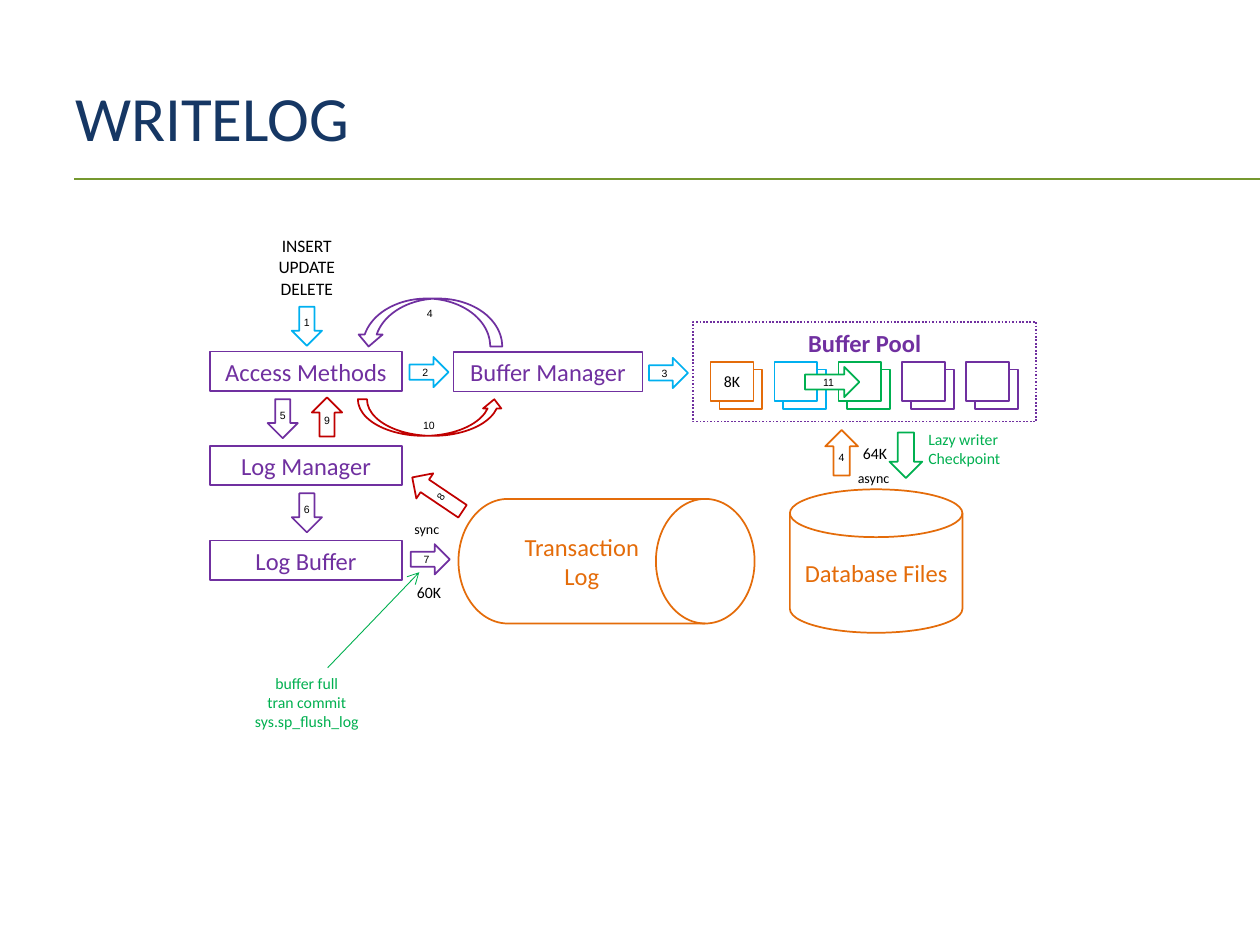
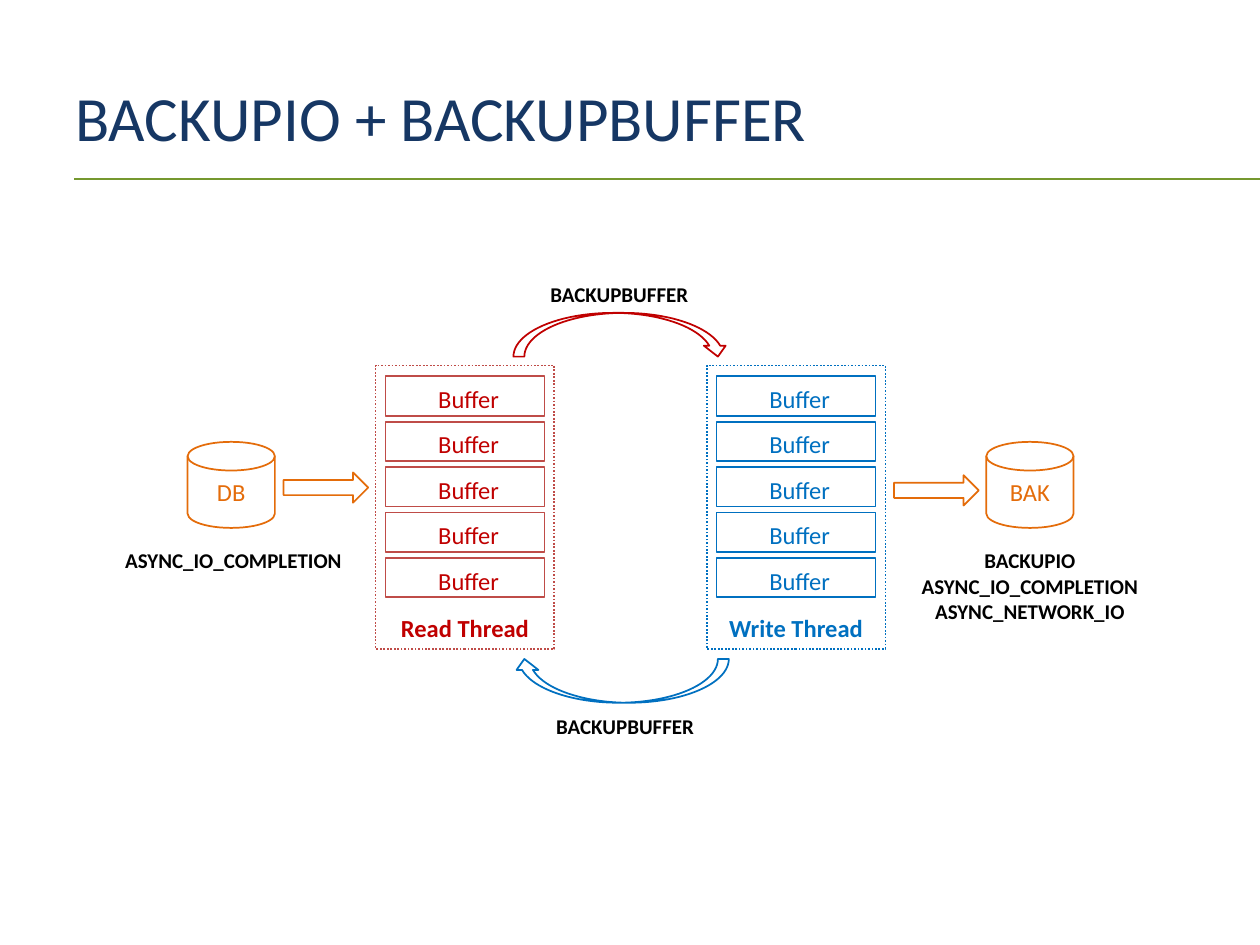
from pptx import Presentation
from pptx import util as u
from pptx.dml.color import RGBColor
from pptx.enum import dml, shapes, text
from pptx.oxml.ns import qn
from lxml import etree

Pt = u.Pt
S = shapes.MSO_SHAPE
NAVY, OLIVE, BLACK, WHITE = "163764", "75982F", "000000", "FFFFFF"
PURPLE, ORANGE, CYAN, GREEN = "7030A0", "E46C0A", "00B0F0", "00B050"
RED, BRICK, BLUE = "C00000", "BF4C48", "0070C0"
LEFT, CENTER = text.PP_ALIGN.LEFT, text.PP_ALIGN.CENTER
TOP, MIDDLE, BOTTOM = text.MSO_ANCHOR.TOP, text.MSO_ANCHOR.MIDDLE, text.MSO_ANCHOR.BOTTOM

# ---- Content: WRITELOG (lengths in points: left, top, width, height) ----
COMPONENTS = [
    ("Access Methods", (120.2, 200.9, 109.4, 22.5)),
    ("Buffer Manager", (259.2, 201.2, 108, 22.5)),
    ("Log Manager", (120.2, 254.9, 109.4, 22.5)),
    ("Log Buffer", (120.2, 308.9, 109.4, 22.5)),
]
STORES = [
    ("Database Files", S.FLOWCHART_MAGNETIC_DISK, (451.4, 279.6, 98.6, 82)),
    ("Transaction Log", S.FLOWCHART_DIRECT_ACCESS_STORAGE, (262, 285.1, 169.2, 71.2)),
]
POOL = ("Buffer Pool", (396, 184, 196.2, 56.9))
PAGES = [(ORANGE, "8K"), (CYAN, ""), (GREEN, ""), (PURPLE, ""), (PURPLE, "")]
PAGE_AT, PAGE_STEP, PAGE_BACK = (406.1, 206.8, 24.5, 22.5), 36.5, (5, 4.3)
# number, shape, box, colour, rotation, flip
STEPS = [
    ("1", S.RIGHT_ARROW, (164.2, 177.8, 22.3, 17.3), CYAN, 90, ""),
    ("2", S.RIGHT_ARROW, (234, 204, 22.3, 17.3), CYAN, 0, ""),
    ("3", S.RIGHT_ARROW, (370.8, 204.5, 22.3, 17.3), CYAN, 0, ""),
    ("4", S.UP_ARROW, (471.6, 245.7, 18.7, 26), ORANGE, 0, ""),
    ("5", S.RIGHT_ARROW, (150.4, 230.6, 22.3, 17.3), PURPLE, 90, ""),
    ("6", S.RIGHT_ARROW, (164.2, 284.4, 22.3, 17.3), PURPLE, 90, ""),
    ("7", S.RIGHT_ARROW, (234.7, 311, 22.3, 17.3), PURPLE, 0, ""),
    ("8", S.RIGHT_ARROW, (232.6, 273.9, 34.6, 17.3), RED, 214, "V"),
    ("9", S.RIGHT_ARROW, (175.7, 229.6, 22.3, 17.3), RED, 270, "V"),
    ("", S.UP_ARROW, (508.3, 247.2, 18.7, 26), GREEN, 0, "V"),
    ("", S.CURVED_DOWN_ARROW, (203.8, 170.6, 83.2, 27.4), PURPLE, 0, "H"),
    ("", S.CURVED_DOWN_ARROW, (204.5, 228.2, 83.2, 20.9), RED, 0, "V"),
    ("11", S.RIGHT_ARROW, (460.1, 209.7, 31, 17.3), GREEN, 0, ""),
]
# lines, box, size, colour, alignment, font, wrap
NOTES = [
    (["INSERT UPDATE", "DELETE"], (136.8, 131, 77, 43.9), 10, BLACK, CENTER, "Calibri", True),
    (["Lazy writer", "Checkpoint"], (523.4, 241.9, 77, 28.8), 9, GREEN, LEFT, "Calibri", True),
    (["64K"], (486, 249.8, 30.2, 18), 9, BLACK, LEFT, "Calibri", True),
    (["60K"], (231.1, 329.7, 30.2, 18), 9, BLACK, LEFT, "Calibri", True),
    (["async"], (483.1, 265, 33.1, 17.3), 8, BLACK, LEFT, "Calibri", False),
    (["sync"], (229.7, 293.8, 28.8, 17.3), 8, BLACK, LEFT, "Calibri", False),
    (["buffer full", "tran commit", "sys.sp_flush_log"], (136.8, 381.6, 77, 40.3),
     9, GREEN, CENTER, "Calibri", True),
    (["4"], (236.9, 172.1, 30.2, 14.4), 6, BLACK, LEFT, "Arial", True),
    (["10"], (234.7, 235.9, 30.2, 14.4), 6, BLACK, LEFT, "Arial", True),
]
FLUSH_LINE = (187.2, 381.6, 239.6, 327)

# ---- Content: BACKUPIO + BACKUPBUFFER ----
# name, left, outline colour, text colour
THREADS = [("Read Thread", 214.6, BRICK, RED), ("Write Thread", 403.8, BLUE, BLUE)]
THREAD_TOP, THREAD_W, THREAD_H = 208.8, 102.2, 162
BUFFERS, BUFFER_STEP, BUFFER_W, BUFFER_H = 5, 25.95, 90.8, 22.5
DISKS = [("DB", 107.2), ("BAK", 563.6)]
FLOWS = [
    (S.RIGHT_ARROW, (162, 270, 48.4, 17.3), ORANGE, ""),
    (S.RIGHT_ARROW, (510.9, 271.6, 48.4, 17.3), ORANGE, ""),
    (S.CURVED_DOWN_ARROW, (293.4, 178.8, 123.1, 25), RED, ""),
    (S.CURVED_DOWN_ARROW, (293.4, 376.6, 123.1, 25), BLUE, "HV"),
]
WAITS = [
    (["BACKUPBUFFER"], (307.4, 157.3, 94.3, 21.6), LEFT),
    (["BACKUPBUFFER"], (310.7, 404.3, 94.3, 21.6), LEFT),
    (["ASYNC_IO_COMPLETION"], (63.6, 309.6, 139.7, 21.6), CENTER),
    (["BACKUPIO", "ASYNC_IO_COMPLETION", "ASYNC_NETWORK_IO"],
     (518.7, 309.6, 139.7, 51.1), CENTER),
]


# ---- Helpers ----
def rgb(value):
    return RGBColor.from_string(value)


def write(sp, lines, size, color, font="Calibri", bold=False, align=CENTER,
          anchor=MIDDLE, wrap=True, inset=(7.2, 3.6, 7.2, 3.6)):
    tf = sp.text_frame
    tf.text = "\n".join(lines)
    tf.word_wrap, tf.vertical_anchor = wrap, anchor
    tf.margin_left, tf.margin_top, tf.margin_right, tf.margin_bottom = map(Pt, inset)
    for p in tf.paragraphs:
        p.alignment = align
        for r in p.runs:
            r.font.name, r.font.size, r.font.bold = font, Pt(size), bold
            r.font.color.rgb = rgb(color)


def shape(s, kind, box, line, fill=None, dotted=False, rotation=0, flip=""):
    sp = s.shapes.add_shape(kind, *map(Pt, box))
    sp.shadow.inherit = False
    if fill:
        sp.fill.solid()
        sp.fill.fore_color.rgb = rgb(fill)
    else:
        sp.fill.background()
    sp.line.color.rgb, sp.line.width = rgb(line), Pt(1)
    if dotted:
        sp.line.dash_style = dml.MSO_LINE.ROUND_DOT
    sp.rotation = rotation
    for axis in flip:
        sp._element.spPr.find(qn("a:xfrm")).set("flip" + axis, "1")
    return sp


def label(s, lines, box, size, color, **style):
    sp = s.shapes.add_textbox(*map(Pt, box))
    write(sp, lines, size, color, **style)
    return sp


def line(s, ends, color, width, arrow=False):
    c = s.shapes.add_connector(shapes.MSO_CONNECTOR.STRAIGHT, *map(Pt, ends))
    c.line.color.rgb, c.line.width = rgb(color), Pt(width)
    if arrow:
        etree.SubElement(c.line._get_or_add_ln(), qn("a:tailEnd")).set("type", "arrow")
    etree.SubElement(c._element.spPr, qn("a:effectLst"))


def titled_slide(prs, title):
    s = prs.slides.add_slide(prs.slide_layouts[6])
    line(s, (42.5, 102.2, 720, 102.2), OLIVE, 1)
    label(s, [title], (36, 21.6, 648, 90), 36, NAVY, align=LEFT)
    return s


prs = Presentation()
prs.slide_width, prs.slide_height = Pt(720), Pt(540)

# ---- Slide 1 ----
s = titled_slide(prs, "WRITELOG")
for name, box in COMPONENTS:
    write(shape(s, S.RECTANGLE, box, PURPLE), [name], 14, PURPLE)
for name, kind, box in STORES:
    write(shape(s, kind, box, ORANGE, WHITE), [name], 14, ORANGE)

# Buffer pool with its stacked pages
name, box = POOL
write(shape(s, S.RECTANGLE, box, PURPLE, dotted=True), [name], 14, PURPLE,
      bold=True, anchor=TOP)
x, y, w, h = PAGE_AT
dx, dy = PAGE_BACK
for i, (color, size_text) in enumerate(PAGES):
    left = x + i * PAGE_STEP
    shape(s, S.RECTANGLE, (left + dx, y + dy, w, h), color)
    sp = shape(s, S.RECTANGLE, (left, y, w, h), color, WHITE)
    if size_text:
        write(sp, [size_text], 9, BLACK, inset=(0, 0, 0, 0))

# Numbered arrows; the turned ones carry turned text
for number, kind, box, color, rotation, flip in STEPS:
    fill = WHITE if number == "11" else None
    sp = shape(s, kind, box, color, fill, rotation=rotation, flip=flip)
    if number:
        write(sp, [number], 6, BLACK, "Arial", inset=(0, 0, 0, 0))
    if rotation:
        sp.text_frame._txBody.bodyPr.set("vert", "vert270")

for lines, box, size, color, align, font, wrap in NOTES:
    label(s, lines, box, size, color, font=font, align=align, anchor=TOP, wrap=wrap)
line(s, FLUSH_LINE, GREEN, 0.5, arrow=True)

# ---- Slide 2 ----
s = titled_slide(prs, "BACKUPIO + BACKUPBUFFER")
for name, left, outline, color in THREADS:
    sp = shape(s, S.RECTANGLE, (left, THREAD_TOP, THREAD_W, THREAD_H), outline, dotted=True)
    write(sp, [name], 14, color, bold=True, anchor=BOTTOM)
    pad = (THREAD_W - BUFFER_W) / 2
    for i in range(BUFFERS):
        box = (left + pad, THREAD_TOP + 6.3 + i * BUFFER_STEP, BUFFER_W, BUFFER_H)
        write(shape(s, S.RECTANGLE, box, outline), ["Buffer"], 14, color,
              inset=(11.2, 6.4, 7.2, 3.6))

for name, left in DISKS:
    sp = shape(s, S.FLOWCHART_MAGNETIC_DISK, (left, 252.5, 49.9, 49.2), ORANGE, WHITE)
    write(sp, [name], 14, ORANGE)
for kind, box, color, flip in FLOWS:
    shape(s, kind, box, color, flip=flip)
for lines, box, align in WAITS:
    label(s, lines, box, 12, BLACK, bold=True, align=align, anchor=TOP, wrap=False)

prs.save("out.pptx")
